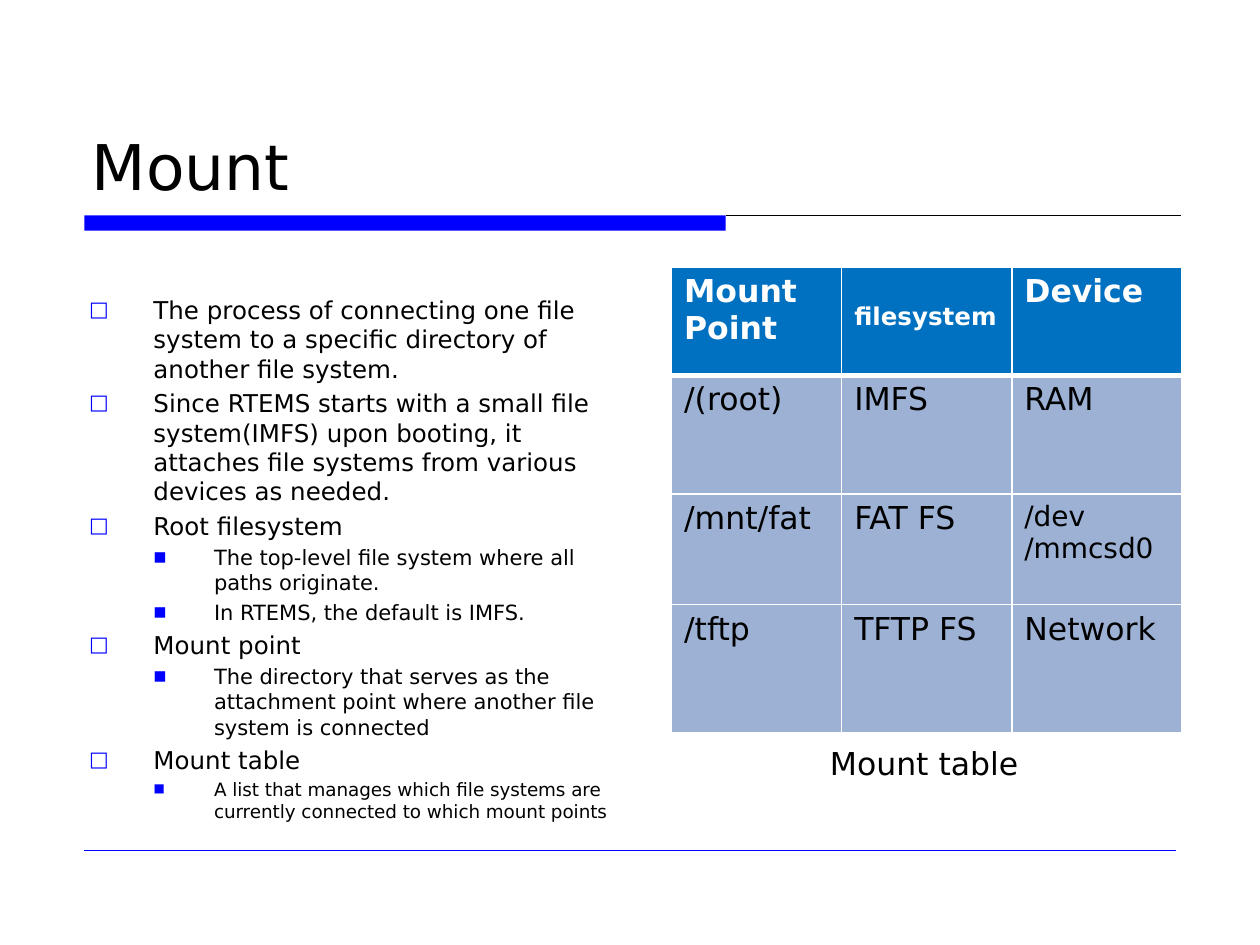
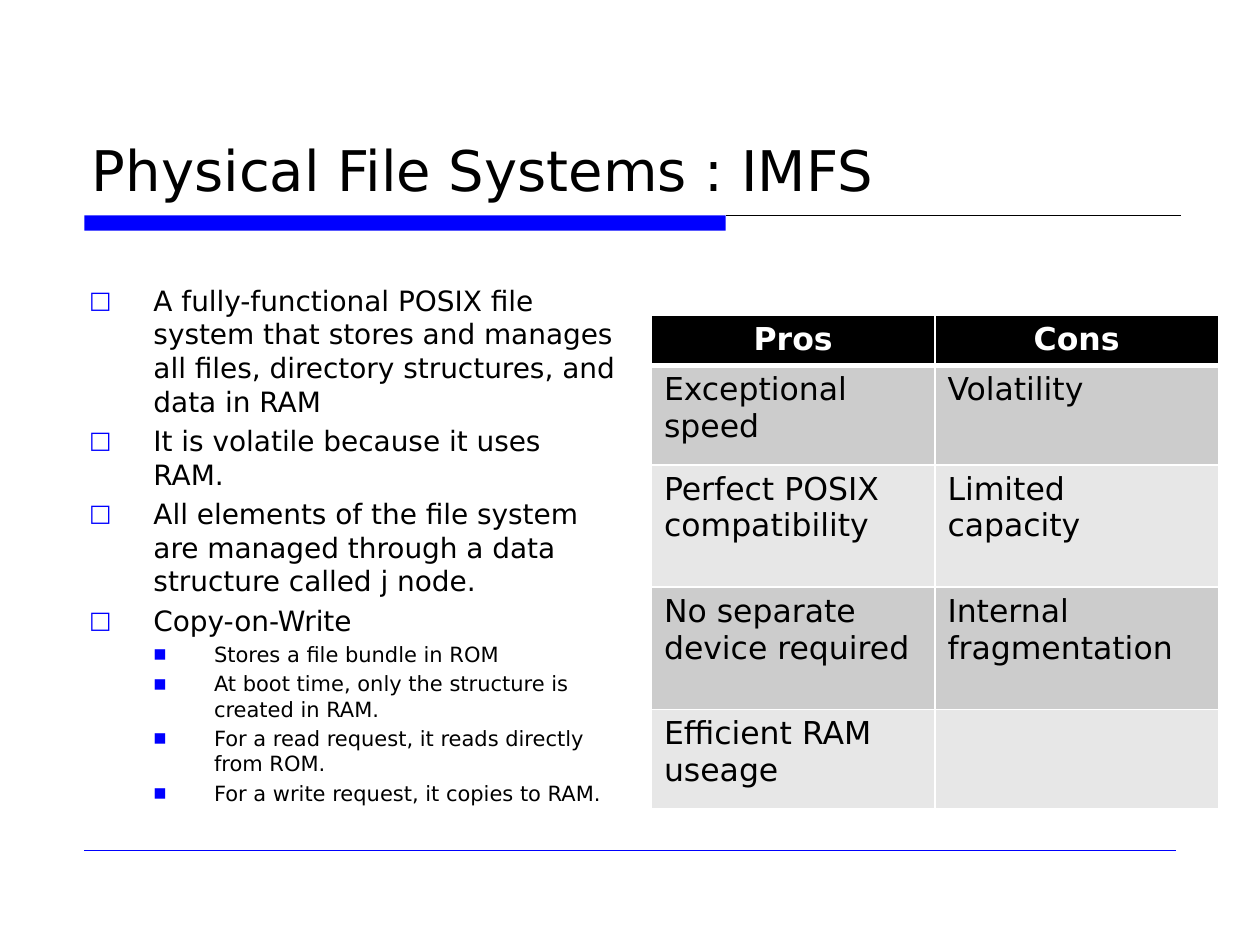
"""Build two slides on mounting and the IMFS file system."""
from lxml.etree import SubElement
from pptx import Presentation
from pptx.dml.color import RGBColor
from pptx.enum.shapes import MSO_CONNECTOR, MSO_SHAPE
from pptx.enum.text import MSO_ANCHOR, MSO_AUTO_SIZE, PP_ALIGN
from pptx.oxml.ns import qn
from pptx.util import Inches, Pt

COLORS = {
    "accent": "0000FF",
    "text": "000000",
    "white": "FFFFFF",
    "mount_header": "0070C0",
    "mount_body": "9CB1D4",
    "grey": "CCCCCC",
    "light_grey": "E7E7E7",
}
FONT = "DejaVu Sans"
BULLETS = [
    {"char": "□", "size": "85000", "margin": 0.51, "hanging": -0.51},
    {"char": "■", "size": "65000", "margin": 0.99, "hanging": -0.48},
]

MOUNT_POINTS = [
    (0, 14, "The process of connecting one file system to a specific directory of another file system."),
    (0, 14, "Since RTEMS starts with a small file system(IMFS) upon booting, "
            "it attaches file systems from various devices as needed."),
    (0, 14, "Root filesystem"),
    (1, 12, "The top-level file system where all paths originate."),
    (1, 12, "In RTEMS, the default is IMFS."),
    (0, 14, "Mount point"),
    (1, 12, "The directory that serves as the attachment point where another file system is connected"),
    (0, 14, "Mount table"),
    (1, 10.5, "A list that manages which file systems are currently connected to which mount points"),
]
IMFS_POINTS = [
    (0, 16, "A fully-functional POSIX file system that stores and manages "
            "all files, directory structures, and data in RAM"),
    (0, 16, "It is volatile because it uses RAM."),
    (0, 16, "All elements of the file system are managed through a data structure called j node."),
    (0, 16, "Copy-on-Write"),
    (1, 12, "Stores a file bundle in ROM"),
    (1, 12, "At boot time, only the structure is created in RAM."),
    (1, 12, "For a read request, it reads directly from ROM."),
    (1, 12, "For a write request, it copies to RAM."),
]
MOUNT_TABLE = [
    ["Mount\nPoint", "filesystem", "Device"],
    ["/(root)", "IMFS", "RAM"],
    ["/mnt/fat", "FAT FS", "/dev\n/mmcsd0"],
    ["/tftp", "TFTP FS", "Network"],
]
PROS_CONS = [
    ["Pros", "Cons"],
    ["Exceptional speed", "Volatility"],
    ["Perfect POSIX compatibility", "Limited capacity"],
    ["No separate device required", "Internal fragmentation"],
    ["Efficient RAM useage", ""],
]


def rgb(color):
    return RGBColor.from_string(COLORS[color])


def set_all(target, values):
    for name, value in values.items():
        setattr(target, name, value)


def style_font(paragraph, size, color="text", bold=False):
    set_all(paragraph.font, {"name": FONT, "size": Pt(size), "bold": bold})
    paragraph.font.color.rgb = rgb(color)


def add_rule(slide, start, end, top, color, width):
    rule = slide.shapes.add_connector(
        MSO_CONNECTOR.STRAIGHT, Inches(start), Inches(top), Inches(end), Inches(top))
    rule.line.color.rgb = rgb(color)
    rule.line.width = Pt(width)
    SubElement(rule._element.spPr, qn("a:effectLst"))


def add_titled_slide(deck, text, size):
    slide = deck.slides.add_slide(deck.slide_layouts[5])
    band = slide.shapes.add_shape(
        MSO_SHAPE.RECTANGLE, Inches(0.67), Inches(1.71), Inches(5.09), Inches(0.12))
    band.shadow.inherit = False
    band.fill.solid()
    band.fill.fore_color.rgb = rgb("accent")
    band.line.fill.background()
    add_rule(slide, 5.76, 9.37, 1.71, "text", 0.75)
    add_rule(slide, 0.67, 9.33, 6.75, "accent", 0.25)

    title = slide.shapes.title
    set_all(title, {"left": Inches(0.63), "top": Inches(0.33),
                    "width": Inches(8.75), "height": Inches(1.33)})
    set_all(title.text_frame, {"text": text, "vertical_anchor": MSO_ANCHOR.BOTTOM,
                               "auto_size": MSO_AUTO_SIZE.NONE, "word_wrap": True})
    heading = title.text_frame.paragraphs[0]
    heading.alignment = PP_ALIGN.LEFT
    style_font(heading, size)
    return slide


def add_text_frame(slide, left, top, width, height):
    frame = slide.shapes.add_textbox(
        Inches(left), Inches(top), Inches(width), Inches(height)).text_frame
    frame.word_wrap = True
    return frame


def add_bullet(paragraph, level):
    bullet = BULLETS[level]
    paragraph.level = level
    properties = paragraph._p.get_or_add_pPr()
    properties.set("marL", str(Inches(bullet["margin"])))
    properties.set("indent", str(Inches(bullet["hanging"])))
    tint = SubElement(properties, qn("a:buClr"))
    SubElement(tint, qn("a:srgbClr"), val=COLORS["accent"])
    SubElement(properties, qn("a:buSzPct"), val=bullet["size"])
    SubElement(properties, qn("a:buFont"), typeface=FONT)
    SubElement(properties, qn("a:buChar"), char=bullet["char"])


def add_points(slide, points, top):
    frame = add_text_frame(slide, 0.61, top, 4.39, 6.66 - top)
    for index, (level, size, text) in enumerate(points):
        point = frame.add_paragraph() if index else frame.paragraphs[0]
        point.text = text
        add_bullet(point, level)
        if index:
            point.space_before = Pt(size * 0.21)
        style_font(point, size)


def add_borders(cell, row):
    widths = {"lnL": 1, "lnR": 1, "lnT": 3 if row == 1 else 1, "lnB": 1 if row else 3}
    properties = cell._tc.get_or_add_tcPr()
    for side, width in widths.items():
        border = SubElement(properties, qn(f"a:{side}"), w=str(Pt(width)))
        fill = SubElement(border, qn("a:solidFill"))
        SubElement(fill, qn("a:srgbClr"), val=COLORS["white"])


def add_grid(slide, rows, left, top, column_width, heights, header, bands,
             header_align=PP_ALIGN.LEFT, sizes={}):
    columns = len(rows[0])
    table = slide.shapes.add_table(
        len(rows), columns, Inches(left), Inches(top),
        Inches(column_width * columns), Inches(sum(heights))).table
    for column in table.columns:
        column.width = Inches(column_width)
    for row, (texts, height) in enumerate(zip(rows, heights)):
        table.rows[row].height = Inches(height)
        for column, text in enumerate(texts):
            cell = table.cell(row, column)
            cell.text = text
            add_borders(cell, row)
            cell.fill.solid()
            cell.fill.fore_color.rgb = rgb(bands[(row - 1) % len(bands)] if row else header)
            for paragraph in cell.text_frame.paragraphs:
                paragraph.alignment = PP_ALIGN.LEFT if row else header_align
                style_font(paragraph, sizes.get(text, 18),
                           "text" if row else "white", bold=not row)
    return table


def add_caption(slide, text):
    caption = add_text_frame(slide, 6.25, 5.86, 2.17, 0.4).paragraphs[0]
    set_all(caption, {"text": text, "alignment": PP_ALIGN.CENTER})
    style_font(caption, 18)


def main():
    deck = Presentation()
    set_all(deck, {"slide_width": Inches(10), "slide_height": Inches(7.5)})

    mount = add_titled_slide(deck, "Mount", 36)
    add_points(mount, MOUNT_POINTS, 2.29)
    mount_table = add_grid(
        mount, MOUNT_TABLE, 5.33, 2.12, 1.35, [0.86, 0.94, 0.88, 1.02],
        "mount_header", ["mount_body"], sizes={"filesystem": 14, "/dev\n/mmcsd0": 16})
    mount_table.cell(0, 1).margin_top = Inches(0.28)
    add_caption(mount, "Mount table")

    imfs = add_titled_slide(deck, "Physical File Systems : IMFS", 32)
    add_points(imfs, IMFS_POINTS, 2.2)
    add_grid(imfs, PROS_CONS, 5.17, 2.5, 2.25, [0.38, 0.79, 0.97, 0.97, 0.79],
             "text", ["grey", "light_grey"], PP_ALIGN.CENTER)

    deck.save("out.pptx")


if __name__ == "__main__":
    main()
